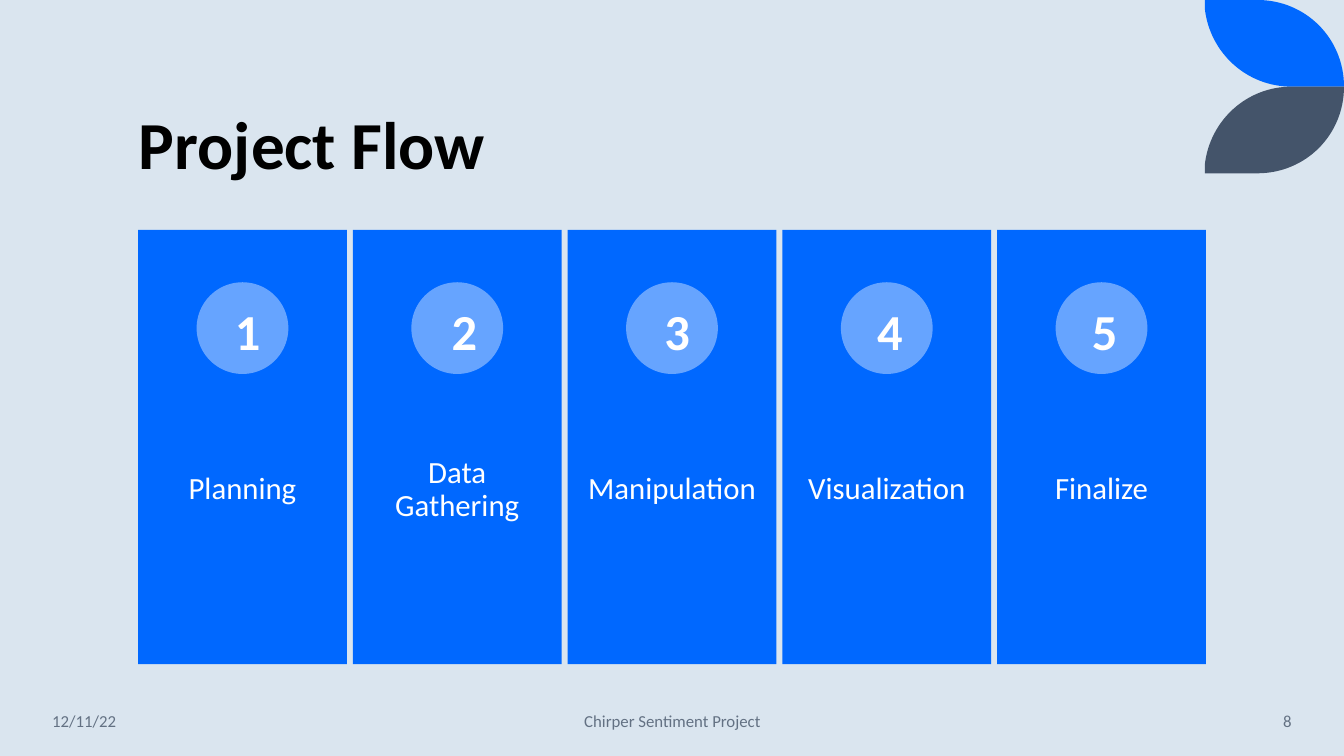
from lxml import etree
from pptx import Presentation
from pptx.dml.color import RGBColor
from pptx.enum.shapes import MSO_SHAPE
from pptx.enum.text import MSO_ANCHOR, PP_ALIGN
from pptx.oxml.ns import qn
from pptx.util import Inches, Pt

RECT, OVAL = MSO_SHAPE.RECTANGLE, MSO_SHAPE.OVAL
TOP, MIDDLE, BOTTOM = MSO_ANCHOR.TOP, MSO_ANCHOR.MIDDLE, MSO_ANCHOR.BOTTOM
LEFT, CENTER, RIGHT = PP_ALIGN.LEFT, PP_ALIGN.CENTER, PP_ALIGN.RIGHT

PALE = RGBColor(0xDA, 0xE5, 0xEF)
BLUE = RGBColor(0x00, 0x68, 0xFF)
SKY = RGBColor(0x66, 0xA4, 0xFF)
SLATE = RGBColor(0x44, 0x54, 0x6A)
GRAY = RGBColor(0x63, 0x71, 0x83)
BLACK = RGBColor(0, 0, 0)
WHITE = RGBColor(255, 255, 255)

FONT = "Calibri"
WIDE, HIGH = 13.33, 7.5
EDGE, PITCH, CARD = 1.37, 2.13, 2.07
DISC = 0.91
LEAF = 0.86
STEPS = [("Planning", 2.23), ("Data Gathering", 4.38), ("Manipulation", 6.49),
         ("Visualization", 8.6), ("Finalize", 10.73)]
SPOTS = [(11.95, 0), (12.47, 0), (12.95, 0), (WIDE, 0.38), (WIDE, LEAF),
         (12.81, LEAF), (12.36, LEAF), (12, 0.52), (11.95, 0.09)]
BENDS = (1, 5)


def box(*sides):
    return [Inches(side) for side in sides]


def paint(shape, color):
    shape.shadow.inherit = False
    shape.fill.solid()
    shape.fill.fore_color.rgb = color
    shape.line.fill.background()


def block(slide, kind, area, color):
    paint(slide.shapes.add_shape(kind, *box(*area)), color)


def label(slide, text, area, size, color, align=LEFT, anchor=MIDDLE,
          bold=False, lead=1.0, inset=None):
    frame = slide.shapes.add_textbox(*box(*area)).text_frame
    frame.word_wrap = True
    frame.vertical_anchor = anchor
    if inset is not None:
        frame.margin_left = frame.margin_right = Inches(inset)
        frame.margin_top = frame.margin_bottom = Inches(inset)
    frame.text = text
    para = frame.paragraphs[0]
    para.alignment = align
    para.line_spacing = lead
    font = para.runs[0].font
    font.name, font.size, font.bold = FONT, Pt(size), bold
    font.color.rgb = color


def bend(lines):
    curve = etree.Element(qn("a:cubicBezTo"))
    lines[0].addprevious(curve)
    for line in lines:
        curve.append(line[0])
        line.getparent().remove(line)


def leaf(slide, color, base, sign):
    dots = [tuple(box(x, base + sign * y)) for x, y in SPOTS]
    pen = slide.shapes.build_freeform(*dots[0])
    pen.add_line_segments(dots[1:], close=True)
    shape = pen.convert_to_shape()
    lines = list(shape.element.iter(qn("a:lnTo")))
    for start in BENDS:
        bend(lines[start:start + 3])
    paint(shape, color)


def card(slide, index, text, spot):
    left = EDGE + index * PITCH
    block(slide, RECT, (left, 2.28, CARD, 4.31), BLUE)
    label(slide, text, (left, 4, CARD, 1.72), 22, WHITE, CENTER,
          lead=0.9, inset=0.17)
    block(slide, OVAL, (left + (CARD - DISC) / 2, 2.8, DISC, DISC), SKY)
    label(slide, str(index + 1), (spot, 2.93, 0.38, 0.71),
          36, WHITE, CENTER, TOP, bold=True)


def foot(slide, text, left, width, align):
    label(slide, text, (left, 6.95, width, 0.4), 12, GRAY, align)


def main():
    deck = Presentation()
    deck.slide_width, deck.slide_height = box(WIDE, HIGH)
    slide = deck.slides.add_slide(deck.slide_layouts[6])
    slide.background.fill.solid()
    slide.background.fill.fore_color.rgb = PALE

    leaf(slide, BLUE, 0, 1)
    leaf(slide, SLATE, 2 * LEAF, -1)
    label(slide, "Project Flow", (1.28, 0.42, 10.69, 1.45), 48, BLACK,
          anchor=BOTTOM, bold=True, lead=0.9)
    for index, (text, spot) in enumerate(STEPS):
        card(slide, index, text, spot)
    foot(slide, "12/11/22", 0.42, 1.86, LEFT)
    foot(slide, "Chirper Sentiment Project", 4.42, 4.5, CENTER)
    foot(slide, "8", 11.1, 1.81, RIGHT)
    deck.save("out.pptx")


if __name__ == "__main__":
    main()
